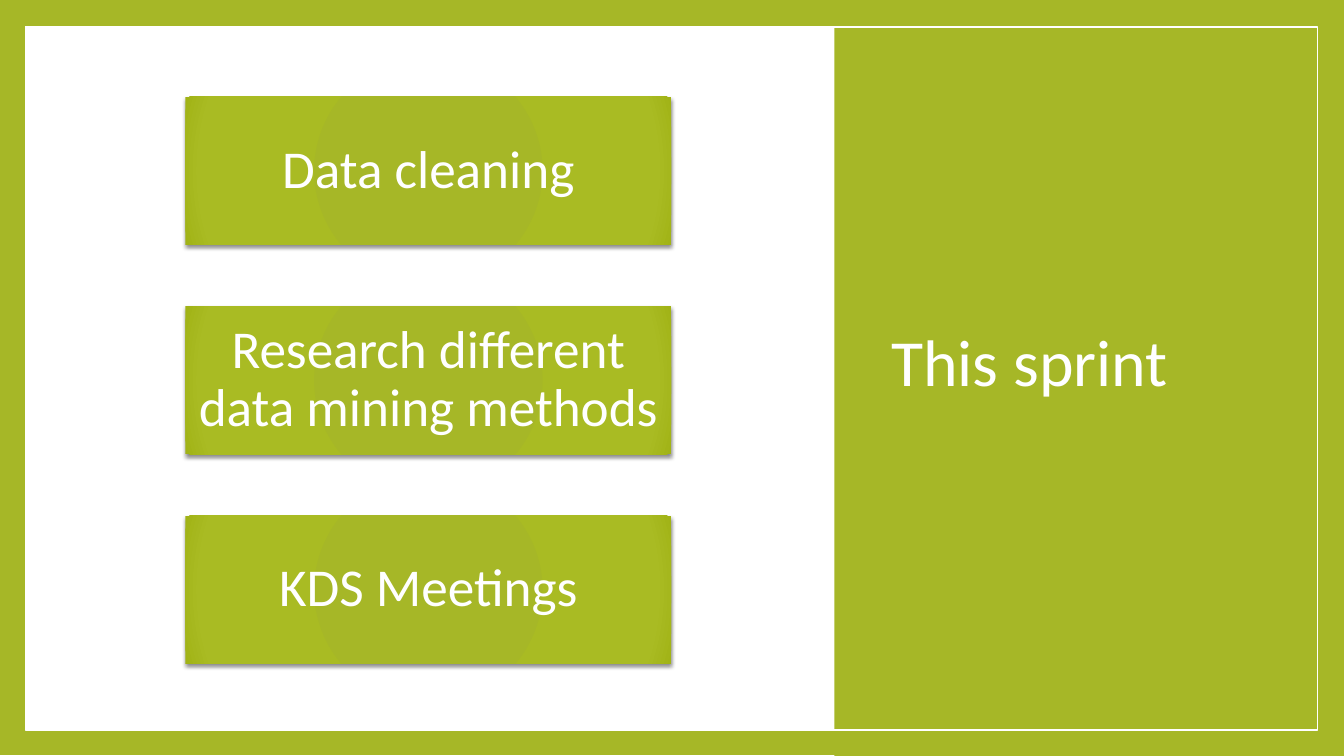
from lxml.etree import SubElement
from pptx import Presentation
from pptx.dml.color import RGBColor
from pptx.enum.shapes import MSO_SHAPE
from pptx.enum.text import MSO_ANCHOR, MSO_AUTO_SIZE, PP_ALIGN
from pptx.oxml import parse_xml
from pptx.oxml.ns import nsdecls, qn
from pptx.util import Pt

GREEN = "A6B727"
WHITE = "FFFFFF"
CARD_STOPS = [(0, GREEN), (90, "A9BB23"), (100, "A1B316")]
TASKS = ["Data cleaning", "Research different data mining methods", "KDS Meetings"]
CARD_TOP, CARD_PITCH = 69.2, 149.6


def color(value):
    return RGBColor.from_string(value)


def add_box(page, left, top, width, height, fill=None, line=None):
    box = page.shapes.add_shape(
        MSO_SHAPE.RECTANGLE, Pt(left), Pt(top), Pt(width), Pt(height))
    box.shadow.inherit = False
    if fill:
        box.fill.solid()
        box.fill.fore_color.rgb = color(fill)
    else:
        box.fill.background()
    if line:
        box.line.color.rgb = color(line)
        box.line.width = Pt(1)
    else:
        box.line.fill.background()
    return box


def write(box, text, size, align=PP_ALIGN.LEFT, inset=7.2):
    frame = box.text_frame
    frame.word_wrap = True
    frame.auto_size = MSO_AUTO_SIZE.NONE
    frame.vertical_anchor = MSO_ANCHOR.MIDDLE
    frame.margin_left = frame.margin_right = Pt(inset)
    frame.margin_top = frame.margin_bottom = Pt(min(inset, 3.6))
    para = frame.paragraphs[0]
    para.alignment = align
    para.line_spacing = 0.9
    span = para.add_run()
    span.text = text
    span.font.name = "Calibri"
    span.font.size = Pt(size)
    span.font.color.rgb = color(WHITE)


def shade(box):
    """Give the box a radial gradient and a soft shadow below it."""
    stops = "".join(
        f'<a:gs pos="{place * 1000}"><a:srgbClr val="{value}"/></a:gs>'
        for place, value in CARD_STOPS)
    gradient = parse_xml(
        f'<a:gradFill {nsdecls("a")} rotWithShape="1"><a:gsLst>{stops}</a:gsLst>'
        '<a:path path="circle"><a:fillToRect l="100000" t="100000" '
        'r="100000" b="100000"/></a:path></a:gradFill>')
    properties = box.element.spPr
    properties.replace(properties.find(qn("a:solidFill")), gradient)
    shadow = SubElement(
        properties.find(qn("a:effectLst")), qn("a:outerShdw"),
        blurRad=str(Pt(3)), dist=str(Pt(2)), dir="5400000",
        algn="ctr", rotWithShape="0")
    black = SubElement(shadow, qn("a:srgbClr"), val="000000")
    SubElement(black, qn("a:alpha"), val="45000")


def add_title(page, text):
    title = page.shapes.title
    title.left, title.top = Pt(629.3), Pt(48.2)
    title.width, title.height = Pt(281.5), Pt(425.5)
    write(title, text, 47)
    page.shapes.element.append(title.element)  # in front of the green panel


def add_card(page, text, top):
    card = add_box(page, 132.5, top, 347, 105.8, fill=GREEN)
    shade(card)
    write(card, text, 38, align=PP_ALIGN.CENTER, inset=2.2)


def main():
    deck = Presentation()
    deck.slide_width, deck.slide_height = Pt(960), Pt(540)
    page = deck.slides.add_slide(deck.slide_layouts[5])

    add_box(page, 0, -0.7, 960, 540, fill=GREEN)
    add_box(page, 18, 18.7, 923, 502, fill=WHITE)
    add_box(page, 596, 0, 364, 540, fill=GREEN)
    add_title(page, "This sprint")
    add_box(page, 18, 19.4, 923, 502, line=WHITE)
    for row, task in enumerate(TASKS):
        add_card(page, task, CARD_TOP + row * CARD_PITCH)

    deck.save("out.pptx")


if __name__ == "__main__":
    main()
